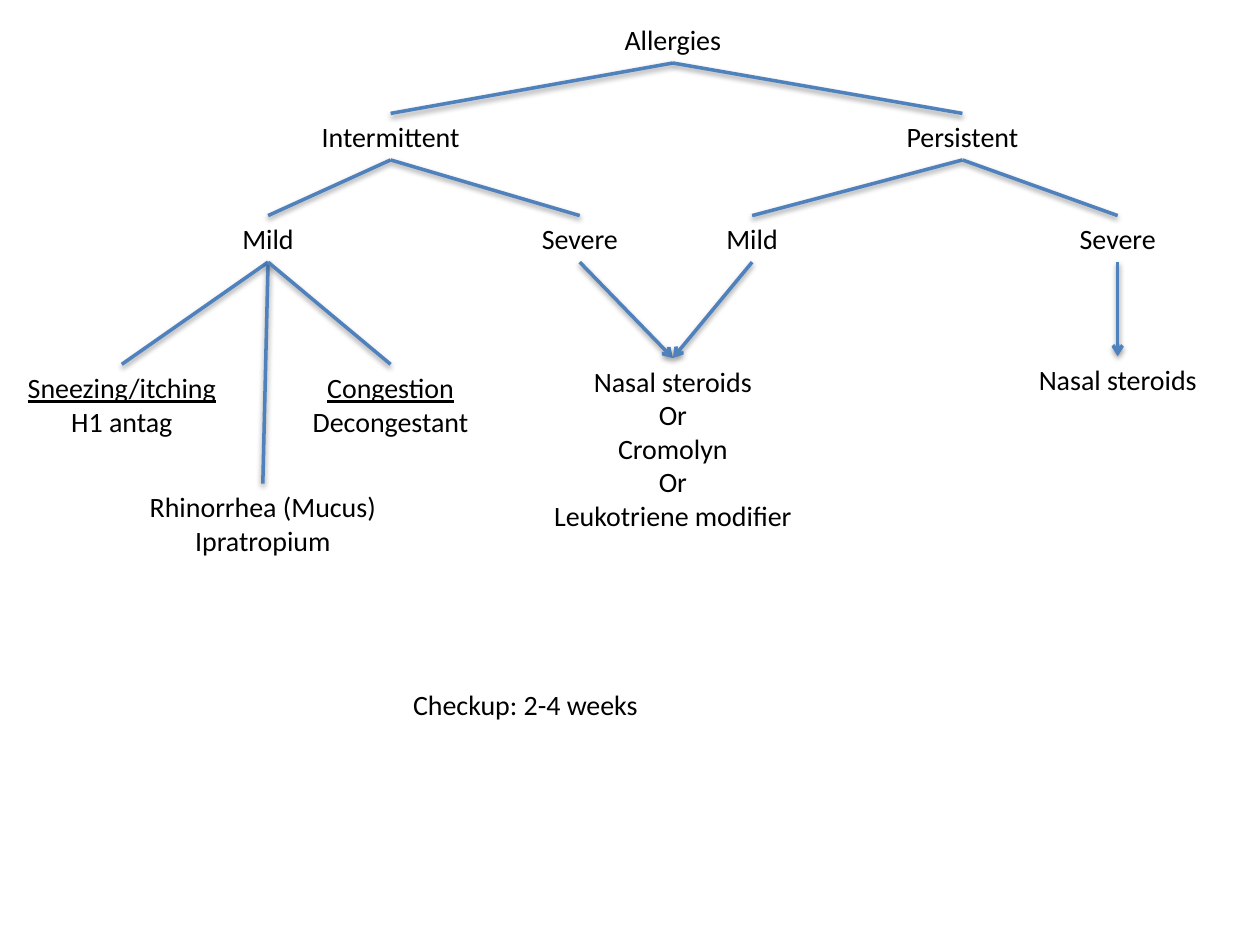
"""Build a decision tree for treating allergies."""
from dataclasses import dataclass

import pptx
import pptx.dml.color
import pptx.enum.shapes
import pptx.enum.text
import pptx.oxml
import pptx.oxml.ns
import pptx.util

Pt = pptx.util.Pt


@dataclass
class Theme:
    """Colours, font and sizes."""
    font: str = "Calibri"
    text_color: str = "000000"
    branch_color: str = "4F81BD"
    text_size: float = 16
    branch_width: float = 2
    line_height: float = 19.4
    padding: float = 7.2


class TreeSlide:
    """Draws the parts of the tree on one slide."""

    def __init__(self, slide, theme):
        """Keep the slide and its style."""
        self.slide = slide
        self.theme = theme

    def root(self, text, center, top, width):
        """Place the title as the root of the tree."""
        return self.fill(self.slide.shapes.title, [text], center, top, width)

    def node(self, lines, center, top, width, heading=False, align="CENTER"):
        """Add a text node, with its first line underlined for a heading."""
        box = self.slide.shapes.add_textbox(0, 0, 0, 0)
        return self.fill(box, lines, center, top, width, heading, align)

    def fill(self, shape, lines, center, top, width, heading=False, align="CENTER"):
        """Position a shape around its centre and write its lines."""
        theme = self.theme
        shape.left, shape.top = Pt(center - width / 2), Pt(top)
        shape.width = Pt(width)
        shape.height = Pt(theme.padding + theme.line_height * len(lines))
        frame = shape.text_frame
        frame.text = "\n".join(lines)
        frame.word_wrap = False
        frame.auto_size = pptx.enum.text.MSO_AUTO_SIZE.SHAPE_TO_FIT_TEXT
        frame.vertical_anchor = pptx.enum.text.MSO_ANCHOR.TOP
        for index, paragraph in enumerate(frame.paragraphs):
            paragraph.alignment = pptx.enum.text.PP_ALIGN[align]
            for run in paragraph.runs:
                run.font.name = theme.font
                run.font.size = Pt(theme.text_size)
                run.font.color.rgb = pptx.dml.color.RGBColor.from_string(theme.text_color)
                if heading and index == 0:
                    run.font.underline = True
        return shape

    def branch(self, parent, child, arrow=False):
        """Join the bottom of a parent to the top of a child."""
        straight = pptx.enum.shapes.MSO_CONNECTOR.STRAIGHT
        link = self.slide.shapes.add_connector(straight, 0, 0, 0, 0)
        link.begin_connect(parent, 2)
        link.end_connect(child, 0)
        link.line.width = Pt(self.theme.branch_width)
        link.line.color.rgb = pptx.dml.color.RGBColor.from_string(self.theme.branch_color)
        if arrow:
            tail = pptx.oxml.parse_xml(
                f'<a:tailEnd {pptx.oxml.ns.nsdecls("a")} type="arrow"/>')
            link.line._get_or_add_ln().append(tail)


def main():
    """Draw the tree and save it."""
    deck = pptx.Presentation()
    deck.slide_width, deck.slide_height = Pt(720), Pt(540)
    tree = TreeSlide(deck.slides.add_slide(deck.slide_layouts[5]), Theme())

    type_top, severity_top, symptom_top = 64.8, 123.2, 208.2
    mild_width, severe_width = 44, 59

    allergies = tree.root("Allergies", 384.5, 9.4, 70.6)
    intermittent = tree.node(["Intermittent"], 223.2, type_top, 95)
    persistent = tree.node(["Persistent"], 550, type_top, 80)
    intermittent_mild = tree.node(["Mild"], 153.2, severity_top, mild_width)
    intermittent_severe = tree.node(["Severe"], 331.3, severity_top, severe_width)
    persistent_mild = tree.node(["Mild"], 429.8, severity_top, mild_width)
    persistent_severe = tree.node(["Severe"], 638.7, severity_top, severe_width)

    sneezing = tree.node(["Sneezing/itching", "H1 antag"], 69.6, symptom_top, 123, True)
    congestion = tree.node(["Congestion", "Decongestant"], 223.2, symptom_top, 105, True)
    rhinorrhea = tree.node(["Rhinorrhea (Mucus)", "Ipratropium"], 150.2, 276.4, 145.4)
    choices = tree.node(
        ["Nasal steroids", "Or", "Cromolyn", "Or", "Leukotriene modifier"],
        384.5, 204.6, 152.6)
    steroids = tree.node(["Nasal steroids"], 638.7, 203.6, 106.6)
    tree.node(["Checkup: 2-4 weeks"], 301.3, 389.6, 144.7, align="LEFT")

    children = [
        (allergies, [intermittent, persistent]),
        (intermittent, [intermittent_mild, intermittent_severe]),
        (persistent, [persistent_mild, persistent_severe]),
        (intermittent_mild, [sneezing, rhinorrhea, congestion]),
    ]
    for parent, branches in children:
        for child in branches:
            tree.branch(parent, child)
    treatments = [
        (intermittent_severe, choices),
        (persistent_mild, choices),
        (persistent_severe, steroids),
    ]
    for severity, treatment in treatments:
        tree.branch(severity, treatment, arrow=True)

    deck.save("out.pptx")


if __name__ == "__main__":
    main()
